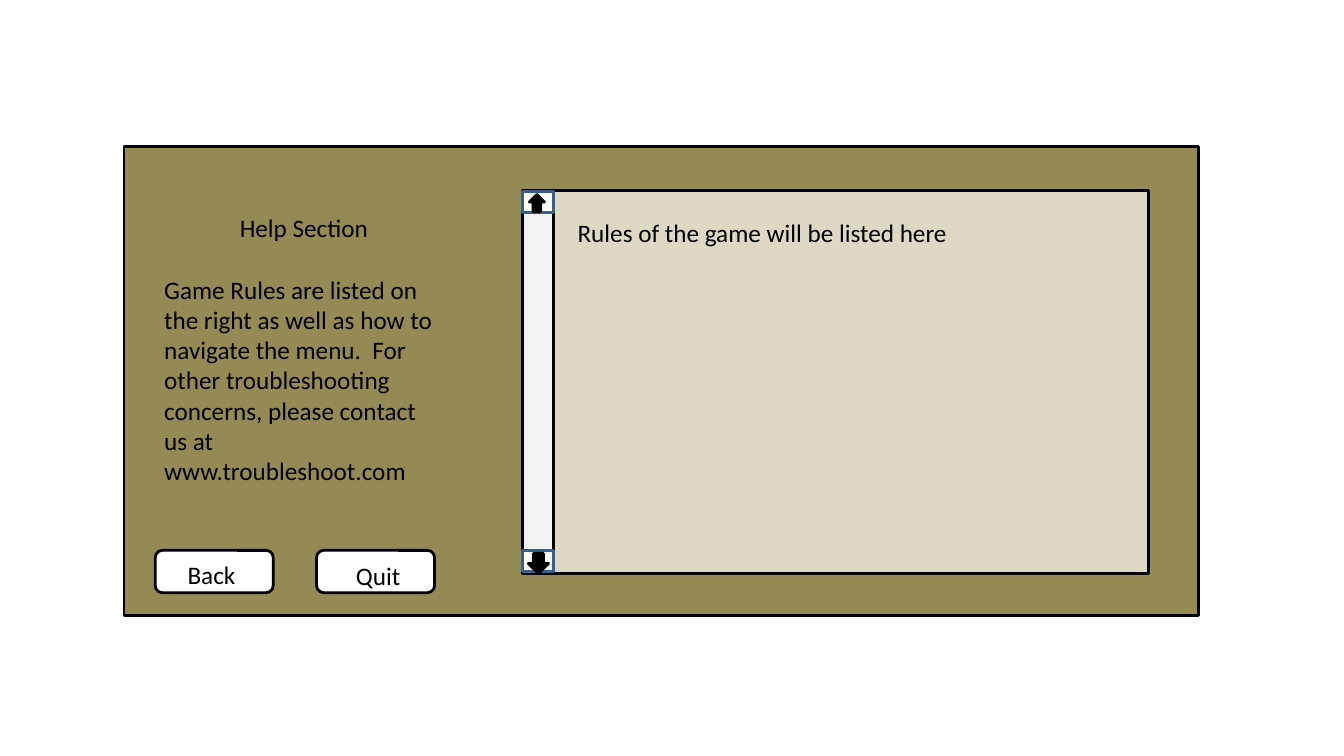
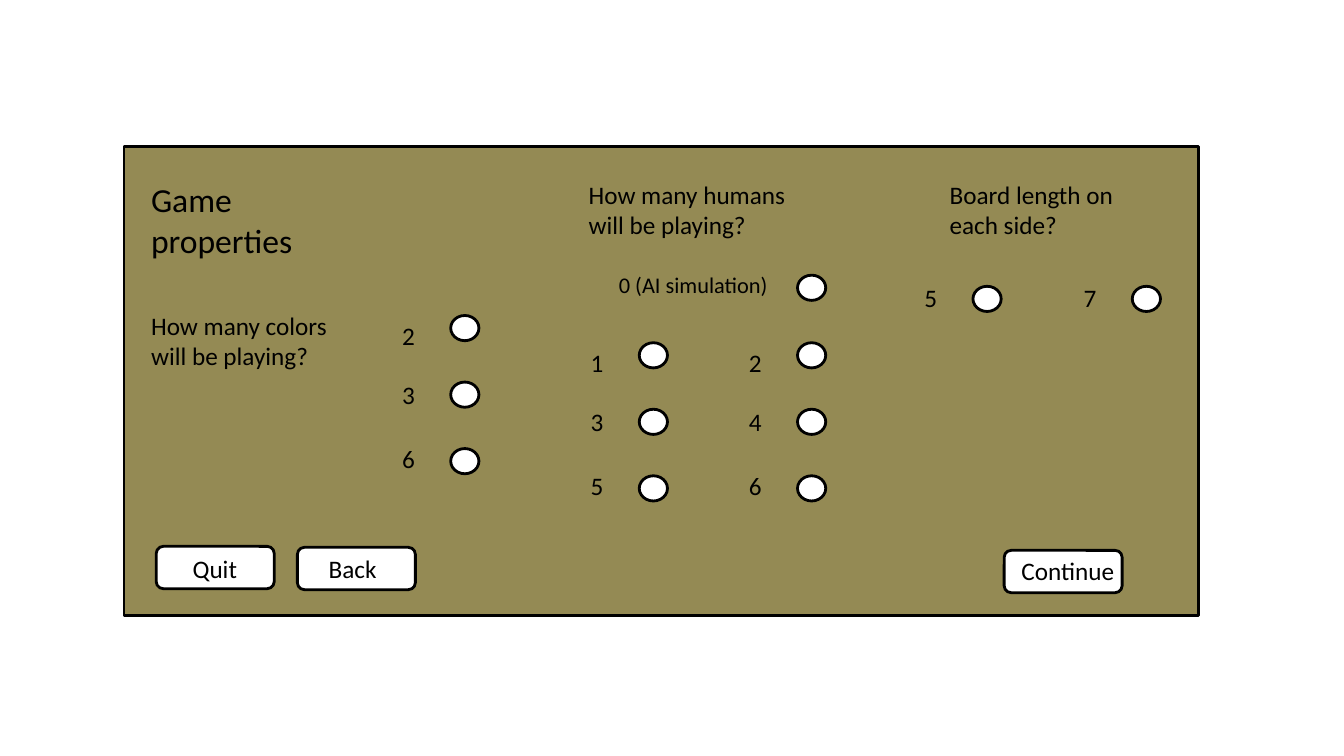
import dataclasses

import pptx
import pptx.dml.color
import pptx.enum.shapes
import pptx.enum.text
import pptx.util

SHAPES = pptx.enum.shapes.MSO_SHAPE
PX = 9144


@dataclasses.dataclass(frozen=True)
class Theme:
    font: str = "Calibri"
    ink: str = "000000"
    panel: str = "948A54"
    page: str = "DDD9C3"
    track: str = "F2F2F2"
    white: str = "FFFFFF"
    scroll_edge: str = "3A5F8C"
    heading: int = 24
    body: int = 18
    small: int = 16
    line: int = 2


THEME = Theme()
PANEL = (123, 145, 1066, 466)
BUTTON_SIZE = (117, 42)
DOT_SIZE = (28, 25)
DOT_SHIFT = 58
NUMBER_SIZE = (41, 40)

HELP_TEXTS = [
    ("Help Section", (228, 206, 403, 40), THEME.body),
    ("Game Rules are listed on the right as well as how to navigate the menu.  For other "
     "troubleshooting concerns, please contact us at www.troubleshoot.com",
     (153, 267, 294, 220), THEME.body),
    ("Rules of the game will be listed here", (563, 211, 561, 40), THEME.body),
]
HELP_BUTTONS = [("Back", (154, 546), (30, 7)), ("Quit", (314, 546), (37, 8))]

RULES_PAGE = (518, 189, 621, 380)
TRACK_WIDTH = 31
SCROLL_BUTTON_HEIGHT = 21
SCROLL_ARROWS = [(190, (525, 193, 15, 17), 0), (546, (524, 549, 20, 20), 180)]

PROPERTY_TEXTS = [
    ("Game properties", (140, 173, 206, 90), THEME.heading),
    ("How many colors will be playing?", (140, 303, 232, 70), THEME.body),
    ("How many humans will be playing?", (574, 173, 232, 70), THEME.body),
    ("0 (AI simulation)", (604, 264, 170, 36), THEME.small),
    ("Board length on each side?", (932, 173, 232, 70), THEME.body),
]
PROPERTY_BUTTONS = [
    ("Quit", (155, 542), (34, 5)),
    ("Back", (295, 543), (29, 4)),
    ("Continue", (996, 546), (15, 3)),
]
SIMULATION_DOT = (791, 273)
STACKED_ROWS = [(0, 0), (58, 66), (122, 132)]
SINGLE_ROW = [(0, 9)]
OPTION_COLUMNS = [
    ("236", (389, 313), STACKED_ROWS),
    ("135", (576, 340), STACKED_ROWS),
    ("246", (733, 340), STACKED_ROWS),
    ("5", (907, 275), SINGLE_ROW),
    ("7", (1065, 275), SINGLE_ROW),
]


def emu(lengths):
    return [pptx.util.Emu(length * PX) for length in lengths]


def rgb(color):
    return pptx.dml.color.RGBColor.from_string(color)


def write(frame, text, size, insets=(10, 5, 10, 5)):
    frame.word_wrap = True
    frame.vertical_anchor = pptx.enum.text.MSO_ANCHOR.TOP
    (frame.margin_left, frame.margin_top,
     frame.margin_right, frame.margin_bottom) = emu(insets)
    para = frame.paragraphs[0]
    para.text = text
    para.alignment = pptx.enum.text.PP_ALIGN.LEFT
    para.font.name = THEME.font
    para.font.size = pptx.util.Pt(size)
    para.font.color.rgb = rgb(THEME.ink)


def add_text(slide, text, box, size):
    write(slide.shapes.add_textbox(*emu(box)).text_frame, text, size)


def add_block(slide, kind, box, fill, line=THEME.ink):
    block = slide.shapes.add_shape(kind, *emu(box))
    block.shadow.inherit = False
    block.fill.solid()
    block.fill.fore_color.rgb = rgb(fill)
    block.line.color.rgb = rgb(line)
    block.line.width = pptx.util.Pt(THEME.line)
    return block


def add_dot(slide, corner):
    add_block(slide, SHAPES.FLOWCHART_CONNECTOR, (*corner, *DOT_SIZE), THEME.white)


def add_screen(deck, texts, buttons):
    slide = deck.slides.add_slide(deck.slide_layouts[6])
    add_block(slide, SHAPES.RECTANGLE, PANEL, THEME.panel)
    for label, corner, inset in buttons:
        button = add_block(slide, SHAPES.ROUNDED_RECTANGLE, (*corner, *BUTTON_SIZE), THEME.white)
        write(button.text_frame, label, THEME.body, (*inset, 0, 0))
    return slide, texts


def add_texts(slide, texts):
    for text, box, size in texts:
        add_text(slide, text, box, size)


def add_scroll_page(slide):
    left, top, _, height = RULES_PAGE
    add_block(slide, SHAPES.RECTANGLE, RULES_PAGE, THEME.page)
    add_block(slide, SHAPES.RECTANGLE, (left, top, TRACK_WIDTH, height), THEME.track)
    for button_top, arrow_box, rotation in SCROLL_ARROWS:
        button_box = (left, button_top, TRACK_WIDTH, SCROLL_BUTTON_HEIGHT)
        add_block(slide, SHAPES.RECTANGLE, button_box, THEME.white, THEME.scroll_edge)
        arrow = add_block(slide, SHAPES.UP_ARROW, arrow_box, THEME.ink)
        arrow.rotation = rotation


def add_options(slide):
    for numbers, (left, top), rows in OPTION_COLUMNS:
        for number, (number_drop, dot_drop) in zip(numbers, rows):
            add_text(slide, number, (left, top + number_drop, *NUMBER_SIZE), THEME.body)
            add_dot(slide, (left + DOT_SHIFT, top + dot_drop))
    add_dot(slide, SIMULATION_DOT)


def main():
    deck = pptx.Presentation()
    deck.slide_width, deck.slide_height = emu((1333, 750))
    screens = [
        (HELP_TEXTS, HELP_BUTTONS, add_scroll_page),
        (PROPERTY_TEXTS, PROPERTY_BUTTONS, add_options),
    ]
    for texts, buttons, add_controls in screens:
        slide, texts = add_screen(deck, texts, buttons)
        add_controls(slide)
        add_texts(slide, texts)
    deck.save("out.pptx")


if __name__ == "__main__":
    main()
